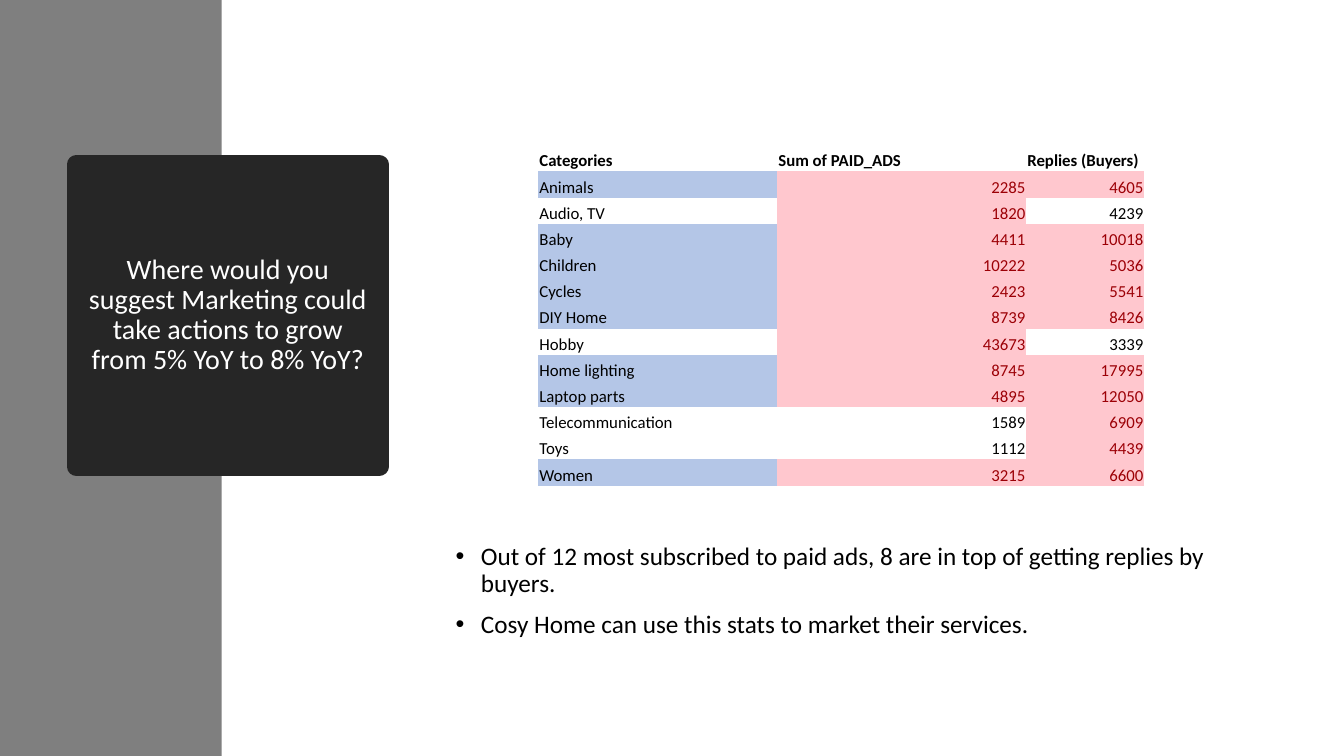
import dataclasses

import pptx
import pptx.dml.color
import pptx.enum.shapes
import pptx.enum.text
import pptx.oxml
import pptx.oxml.ns
import pptx.util

Inches = pptx.util.Inches
Align = pptx.enum.text.PP_ALIGN
Anchor = pptx.enum.text.MSO_ANCHOR


@dataclasses.dataclass(frozen=True)
class Theme:
    font: str = "Calibri"
    band: str = "7F7F7F"
    panel: str = "262626"
    light: str = "FFFFFF"
    dark: str = "000000"
    category: str = "B4C6E7"
    high_fill: str = "FFC7CE"
    high_text: str = "9C0006"
    title_size: int = 20
    body_size: int = 18
    table_size: int = 12
    panel_line: float = 13.75


THEME = Theme()
PLAIN_TABLE_STYLE = "{2D5ABB26-0587-4C30-8999-92F81FD0307C}"
TITLE = "Where would you suggest Marketing could take actions to grow from 5% YoY to 8% YoY?"
FINDINGS = (
    "Out of 12 most subscribed to paid ads, 8 are in top of getting replies by buyers.",
    "Cosy Home can use this stats to market their services.",
)
HEADINGS = ("Categories", "Sum of PAID_ADS", "Replies (Buyers)")
CATEGORIES = (
    ("Animals", 2285, 4605),
    ("Audio, TV", 1820, 4239),
    ("Baby", 4411, 10018),
    ("Children", 10222, 5036),
    ("Cycles", 2423, 5541),
    ("DIY Home", 8739, 8426),
    ("Hobby", 43673, 3339),
    ("Home lighting", 8745, 17995),
    ("Laptop parts", 4895, 12050),
    ("Telecommunication", 1589, 6909),
    ("Toys", 1112, 4439),
    ("Women", 3215, 6600),
)
HIGH_ADS = 1800
HIGH_REPLIES = 4400
COLUMN_SHARES = (2.37, 2.47, 1.17)


def rgb(value):
    return pptx.dml.color.RGBColor.from_string(value)


def write(para, text, *, size, color=THEME.dark, bold=False, align=Align.LEFT,
          spacing=None, before=None):
    para.alignment = align
    if spacing is not None:
        para.line_spacing = spacing
    if before is not None:
        para.space_before = pptx.util.Pt(before)
    span = para.add_run()
    span.text = text
    span.font.name = THEME.font
    span.font.size = pptx.util.Pt(size)
    span.font.bold = bold
    span.font.color.rgb = rgb(color)


def paint(fill, color):
    if color:
        fill.solid()
        fill.fore_color.rgb = rgb(color)
    else:
        fill.background()


def place(shape, box):
    shape.left, shape.top, shape.width, shape.height = map(Inches, box)


def prepare_frame(shape, anchor):
    frame = shape.text_frame
    frame.word_wrap = True
    frame.auto_size = pptx.enum.text.MSO_AUTO_SIZE.NONE
    frame.vertical_anchor = anchor
    return frame


def add_band(page, box):
    band = page.shapes.add_shape(
        pptx.enum.shapes.MSO_SHAPE.RECTANGLE, *map(Inches, box))
    band.shadow.inherit = False
    paint(band.fill, THEME.band)
    band.line.fill.background()
    page.shapes.title.element.addprevious(band.element)


def add_title_panel(page, box):
    panel = page.shapes.title
    place(panel, box)
    paint(panel.fill, THEME.panel)
    paint(panel.line.fill, THEME.panel)
    panel.line.width = pptx.util.Pt(THEME.panel_line)
    frame = prepare_frame(panel, Anchor.MIDDLE)
    write(frame.paragraphs[0], TITLE, size=THEME.title_size, color=THEME.light,
          align=Align.CENTER, spacing=0.9)


def add_findings(page, box):
    body = page.placeholders[1]
    place(body, box)
    frame = prepare_frame(body, Anchor.TOP)
    for index, finding in enumerate(FINDINGS):
        para = frame.add_paragraph() if index else frame.paragraphs[0]
        write(para, finding, size=THEME.body_size, spacing=0.9, before=10)
        properties = para._p.get_or_add_pPr()
        properties.set("marL", str(Inches(0.25)))
        properties.set("indent", str(Inches(-0.25)))
        bullet = pptx.oxml.parse_xml(
            f'<a:buChar {pptx.oxml.ns.nsdecls("a")} char="•"/>')
        properties.append(bullet)


def fill_cell(cell, text, *, fill=None, **style):
    cell.margin_left = cell.margin_right = cell.margin_top = Inches(0.01)
    cell.margin_bottom = 0
    cell.vertical_anchor = Anchor.BOTTOM
    paint(cell.fill, fill)
    write(cell.text_frame.paragraphs[0], text, size=THEME.table_size, **style)


def add_category_table(page, box):
    row_count = len(CATEGORIES) + 1
    frame = page.shapes.add_table(row_count, len(HEADINGS), *map(Inches, box))
    table = frame.table
    table.first_row = table.horz_banding = False
    style = table._tbl.tblPr.find(pptx.oxml.ns.qn("a:tableStyleId"))
    style.text = PLAIN_TABLE_STYLE
    for column, share in zip(table.columns, COLUMN_SHARES):
        column.width = Inches(box[2] * share / sum(COLUMN_SHARES))
    for row in table.rows:
        row.height = Inches(box[3] / row_count)
    for column, heading in enumerate(HEADINGS):
        fill_cell(table.cell(0, column), heading, bold=True)
    for row, (name, ads, replies) in enumerate(CATEGORIES, 1):
        high = (ads > HIGH_ADS, replies > HIGH_REPLIES)
        fill_cell(table.cell(row, 0), name,
                  fill=THEME.category if all(high) else None)
        for column, (value, marked) in enumerate(zip((ads, replies), high), 1):
            fill_cell(table.cell(row, column), str(value), align=Align.RIGHT,
                      fill=THEME.high_fill if marked else None,
                      color=THEME.high_text if marked else THEME.dark)


def main():
    deck = pptx.Presentation()
    deck.slide_width = Inches(13.33)
    deck.slide_height = Inches(7.5)
    page = deck.slides.add_slide(deck.slide_layouts[1])
    paint(page.background.fill, THEME.light)
    add_band(page, (0, 0, 2.2, 7.5))
    add_title_panel(page, (0.76, 1.63, 3, 3))
    add_findings(page, (4.42, 5.34, 7.86, 1.41))
    add_category_table(page, (5.34, 1.44, 6.01, 3.38))
    deck.save("out.pptx")


if __name__ == "__main__":
    main()
